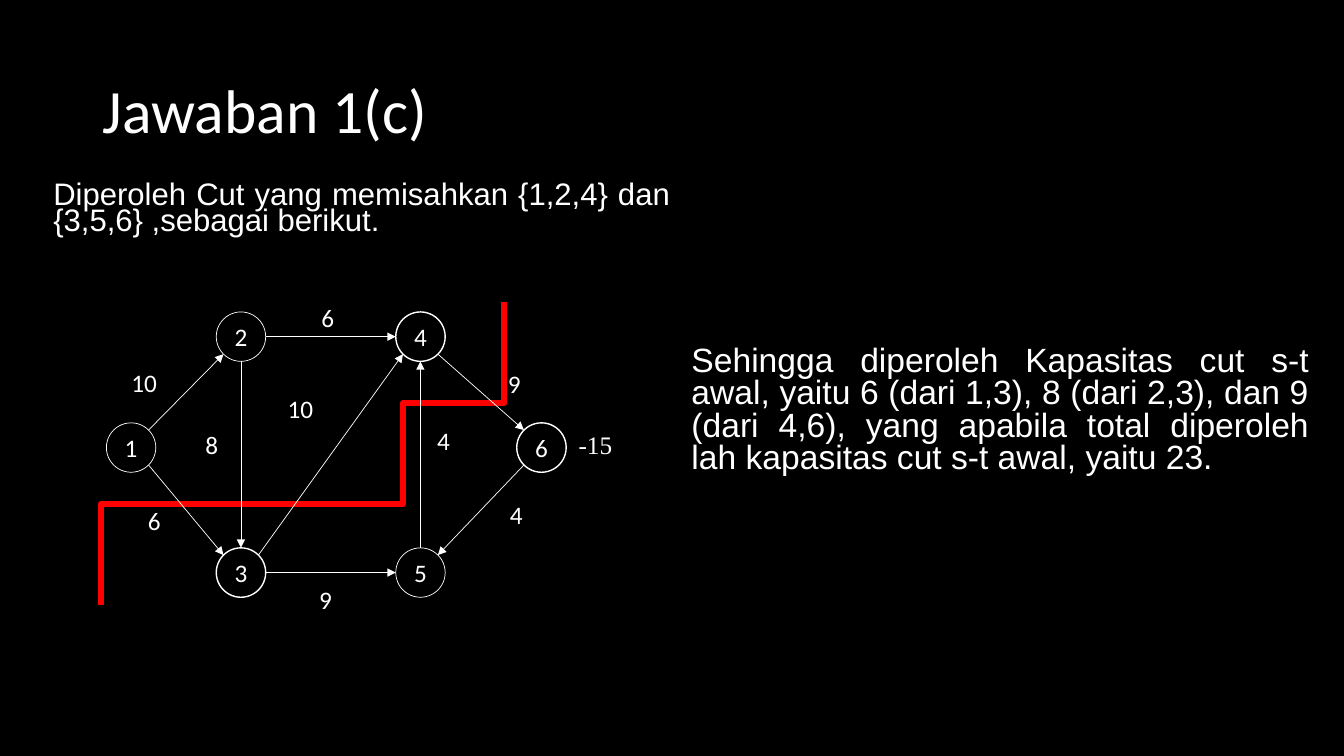
from math import hypot
from lxml.etree import SubElement
from pptx import Presentation
from pptx.dml.color import RGBColor
from pptx.enum.shapes import MSO_CONNECTOR as Connector, MSO_SHAPE as Shape
from pptx.enum.text import MSO_ANCHOR as Anchor, PP_ALIGN as Align
from pptx.oxml.ns import qn
from pptx.util import Inches, Pt

WHITE, BLACK, RED = "FFFFFF", "000000", "FF0000"
DIAMETER = 0.49
LABEL_WIDTH, LABEL_HEIGHT = 0.8, 0.4


def color(value):
    return RGBColor.from_string(value)


def write(shape, text, size=18, font="Calibri", align=Align.CENTER,
          anchor=Anchor.MIDDLE, spacing=1.0, inset=0.0):
    frame = shape.text_frame
    frame.word_wrap = True
    frame.vertical_anchor = anchor
    frame.margin_left = frame.margin_right = Inches(inset)
    frame.margin_top = frame.margin_bottom = Inches(inset / 2)
    para = frame.paragraphs[0]
    para.alignment = align
    para.line_spacing = spacing
    span = para.add_run()
    span.text = text
    span.font.name = font
    span.font.size = Pt(size)
    span.font.color.rgb = color(WHITE)


deck = Presentation()
deck.slide_width, deck.slide_height = Inches(13.33), Inches(7.5)
page = deck.slides.add_slide(deck.slide_layouts[5])
page.background.fill.solid()
page.background.fill.fore_color.rgb = color(BLACK)

title = page.shapes.title
title.left, title.top = Inches(0.92), Inches(0.4)
title.width, title.height = Inches(11.5), Inches(1.45)
write(title, "Jawaban 1(c)", size=44, align=Align.LEFT, spacing=0.9, inset=0.1)

# Explanations and the value beside node 6
notes = [
    ((0.43, 1.78, 6.32, 0.68),
     "Diperoleh Cut yang memisahkan {1,2,4} dan {3,5,6} ,sebagai berikut.",
     dict(size=22.2, font="Arial", align=Align.JUSTIFY, spacing=0.7)),
    ((6.76, 3.39, 6.32, 1.45),
     "Sehingga diperoleh Kapasitas cut s-t awal, yaitu 6 (dari 1,3), "
     "8 (dari 2,3), dan 9 (dari 4,6), yang apabila total diperoleh lah "
     "kapasitas cut s-t awal, yaitu 23.",
     dict(size=24, font="Arial", align=Align.JUSTIFY, spacing=0.8)),
    ((5.64, 4.21, 1.06, 0.4), "-15",
     dict(font="Times New Roman", align=Align.LEFT)),
]
for place, text, style in notes:
    box = page.shapes.add_textbox(*map(Inches, place))
    write(box, text, anchor=Anchor.TOP, inset=0.1, **style)

# The cut
cut_points = [
    (1.32, 5.54), (1.43, 5.48), (1.53, 5.41), (1.65, 5.31), (1.77, 5.22),
    (1.9, 5.17), (1.94, 5.15), (2.12, 5.04), (2.17, 5.02), (2.27, 4.99),
    (2.54, 4.88), (2.74, 4.84), (2.93, 4.81), (3.11, 4.75), (3.3, 4.71),
    (3.48, 4.69), (3.85, 4.67), (4.1, 4.65), (4.15, 4.64), (4.31, 4.55),
    (4.44, 4.44), (4.58, 4.3), (4.68, 4.24), (4.86, 4.01), (5, 3.78),
    (5.05, 3.63), (5.06, 3.55), (5.1, 3.47), (5.12, 3.39),
]
builder = page.shapes.build_freeform(*cut_points[0], scale=Inches(1))
builder.add_line_segments(cut_points[1:], close=False)
cut = builder.convert_to_shape()
cut.shadow.inherit = False
cut.fill.background()
cut.line.color.rgb = color(RED)
cut.line.width = Pt(4.5)

# Nodes: column, row, outline width
columns = [1.3, 2.39, 4.17, 5.37]
rows = [3.34, 4.44, 5.68]
nodes = {1: (0, 1, 0.5), 2: (1, 0, 0.5), 3: (1, 2, 1),
         4: (2, 0, 1), 5: (2, 2, 0.5), 6: (3, 1, 1)}
centers = {}
for name, (column, row, outline) in nodes.items():
    x, y = centers[name] = columns[column], rows[row]
    circle = page.shapes.add_shape(
        Shape.OVAL, Inches(x - DIAMETER / 2), Inches(y - DIAMETER / 2),
        Inches(DIAMETER), Inches(DIAMETER))
    circle.shadow.inherit = False
    circle.fill.background()
    circle.line.color.rgb = color(WHITE)
    circle.line.width = Pt(outline)
    write(circle, str(name))

# Edges: from, to, capacity, centre of the label
edges = [
    (1, 2, "10", 1.43, 3.79), (1, 3, "6", 1.53, 5.16),
    (2, 4, "6", 3.25, 3.15), (2, 3, "8", 2.1, 4.41),
    (3, 4, "10", 2.98, 4.05), (3, 5, "9", 3.23, 5.95),
    (4, 6, "9", 5.1, 3.8), (5, 4, "4", 4.4, 4.37),
    (6, 5, "4", 5.12, 5.1),
]
for start, end, capacity, label_x, label_y in edges:
    (x1, y1), (x2, y2) = centers[start], centers[end]
    # Each edge leaves a circle at one of its eight compass points
    step_x = (x2 > x1) - (x2 < x1)
    step_y = (y2 > y1) - (y2 < y1)
    reach = DIAMETER / 2 / hypot(step_x, step_y)
    arrow = page.shapes.add_connector(
        Connector.STRAIGHT,
        Inches(x1 + step_x * reach), Inches(y1 + step_y * reach),
        Inches(x2 - step_x * reach), Inches(y2 - step_y * reach))
    arrow.line.color.rgb = color(WHITE)
    arrow.line.width = Pt(0.5)
    SubElement(arrow.line._get_or_add_ln(), qn("a:tailEnd"), type="triangle")
    SubElement(arrow._element.spPr, qn("a:effectLst"))
    label = page.shapes.add_textbox(
        Inches(label_x - LABEL_WIDTH / 2), Inches(label_y - LABEL_HEIGHT / 2),
        Inches(LABEL_WIDTH), Inches(LABEL_HEIGHT))
    write(label, capacity)

deck.save("out.pptx")
